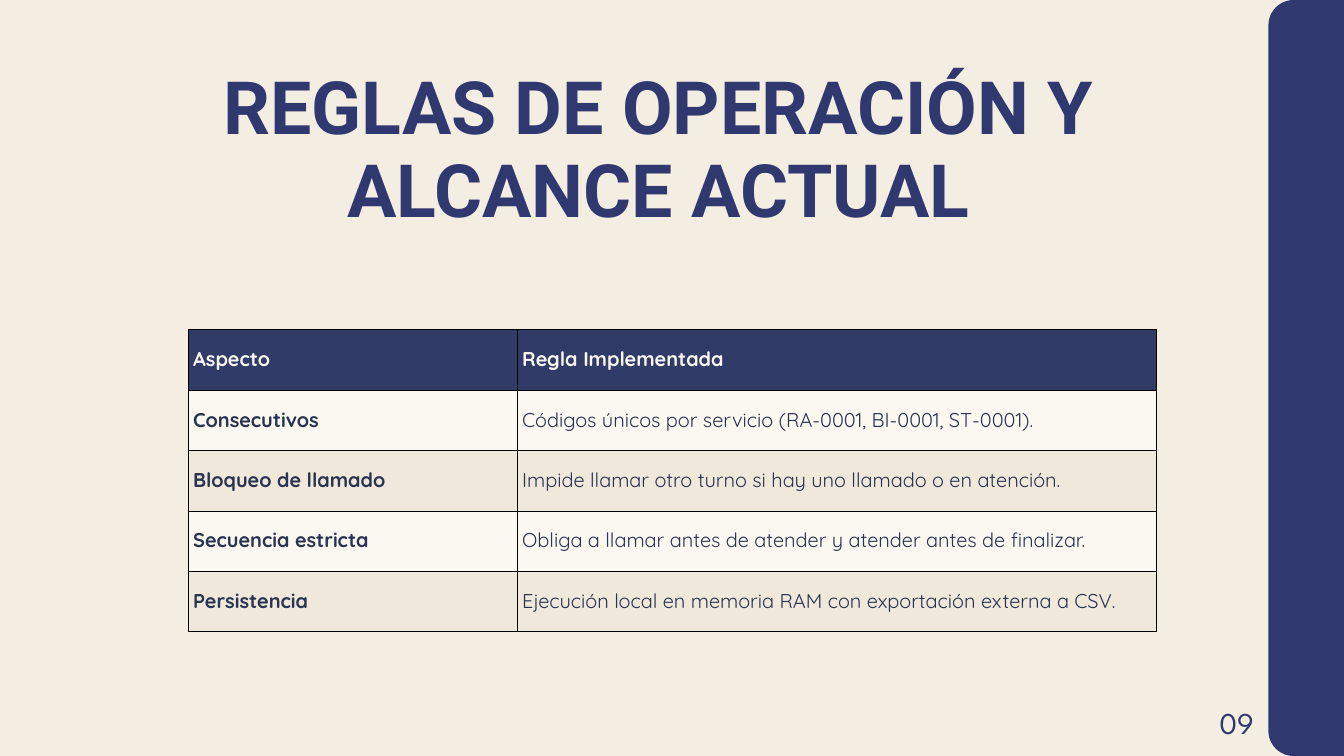
import pptx
import pptx.dml.color
import pptx.enum.shapes
import pptx.enum.text
import pptx.oxml
import pptx.oxml.ns
import pptx.util

PX = 9525  # EMU per px, slide is 1920 x 1080 px
COLORS = {
    "paper": "F4EDE2", "navy": "303870", "header": "303B68",
    "ink": "293451", "light": "FBF8F1", "sand": "F0E8DB", "border": "000000",
}
ALIGN = pptx.enum.text.PP_ALIGN
ANCHOR = pptx.enum.text.MSO_ANCHOR
RULES = [
    ("Aspecto", "Regla Implementada"),
    ("Consecutivos", "Códigos únicos por servicio (RA-0001, BI-0001, ST-0001)."),
    ("Bloqueo de llamado", "Impide llamar otro turno si hay uno llamado o en atención."),
    ("Secuencia estricta", "Obliga a llamar antes de atender y atender antes de finalizar."),
    ("Persistencia", "Ejecución local en memoria RAM con exportación externa a CSV."),
]


def px(*lengths):
    return [pptx.util.Emu(length * PX) for length in lengths]


def rgb(name):
    return pptx.dml.color.RGBColor.from_string(COLORS[name])


def apply(target, values):
    for name, value in values.items():
        setattr(target, name, value)


class RulesSlide:
    def __init__(self, deck):
        self.slide = deck.slides.add_slide(deck.slide_layouts[5])
        self.paint(self.slide.background, "paper")

    def paint(self, target, color):
        target.fill.solid()
        target.fill.fore_color.rgb = rgb(color)

    def set_text(self, frame, text, font, size, spacing, color, bold=False, align=ALIGN.LEFT):
        paragraph = frame.paragraphs[0]
        paragraph.text = text
        apply(paragraph, {"alignment": align, "line_spacing": pptx.util.Pt(spacing),
                          "space_before": pptx.util.Pt(0)})
        face = paragraph.runs[0].font
        apply(face, {"name": font, "size": pptx.util.Pt(size), "bold": bold})
        face.color.rgb = rgb(color)

    def text_area(self, shape, box, **style):
        apply(shape, dict(zip(("left", "top", "width", "height"), px(*box))))
        apply(shape.text_frame, {
            "margin_left": 0, "margin_top": 0, "margin_right": 0, "margin_bottom": 0,
            "word_wrap": True, "vertical_anchor": ANCHOR.TOP,
            "auto_size": pptx.enum.text.MSO_AUTO_SIZE.SHAPE_TO_FIT_TEXT,
        })
        self.set_text(shape.text_frame, **style)

    def title(self, box, **style):
        self.text_area(self.slide.shapes.title, box, **style)

    def label(self, box, **style):
        self.text_area(self.slide.shapes.add_textbox(*px(*box)), box, **style)

    def side_band(self, box, radius, color):
        band = self.slide.shapes.add_shape(
            pptx.enum.shapes.MSO_SHAPE.ROUNDED_RECTANGLE, *px(*box))
        band.adjustments[0] = radius / min(box[2:])
        band.shadow.inherit = False
        self.paint(band, color)
        band.line.fill.background()

    def borders(self, cell):
        properties = cell._tc.get_or_add_tcPr()
        for side in ("lnL", "lnR", "lnT", "lnB"):
            properties.append(pptx.oxml.parse_xml(
                f'<a:{side} {pptx.oxml.ns.nsdecls("a")} w="{PX}"><a:solidFill>'
                f'<a:srgbClr val="{COLORS["border"]}"/></a:solidFill></a:{side}>'))

    def table(self, left, top, widths, heights, rows):
        table = self.slide.shapes.add_table(
            len(rows), len(widths), *px(left, top, sum(widths), sum(heights))).table
        apply(table, {"first_row": False, "horz_banding": False})
        for column, width in zip(table.columns, px(*widths)):
            column.width = width
        for row, height in zip(table.rows, px(*heights)):
            row.height = height
        margin, = px(7)
        for r, texts in enumerate(rows):
            fill = "header" if r == 0 else ("sand", "light")[r % 2]
            for c, text in enumerate(texts):
                cell = table.cell(r, c)
                apply(cell, {"margin_left": margin, "margin_right": margin,
                             "margin_top": margin, "margin_bottom": margin,
                             "vertical_anchor": ANCHOR.MIDDLE})
                self.borders(cell)
                self.paint(cell, fill)
                self.set_text(cell.text_frame, text, "Quicksand", 21.4, 25.6,
                              "light" if r == 0 else "ink", bold=r == 0 or c == 0)


def main():
    deck = pptx.Presentation()
    apply(deck, dict(zip(("slide_width", "slide_height"), px(1920, 1080))))
    page = RulesSlide(deck)

    # Heading
    page.title((107, 93, 1668, 262), text="REGLAS DE OPERACIÓN Y ALCANCE ACTUAL",
               font="Roboto", size=78.7, spacing=89.7, color="navy", bold=True,
               align=ALIGN.CENTER)

    # Operating rules
    page.table(269, 470, [470, 913], [88] + [86] * 4, RULES)

    # Right band and page number
    page.side_band((1812, 0, 324, 1080), 36, "navy")
    page.label((1726, 998, 65, 58), text="09", font="League Spartan", size=32.4,
               spacing=45.4, color="navy", align=ALIGN.RIGHT)

    deck.save("out.pptx")


if __name__ == "__main__":
    main()
